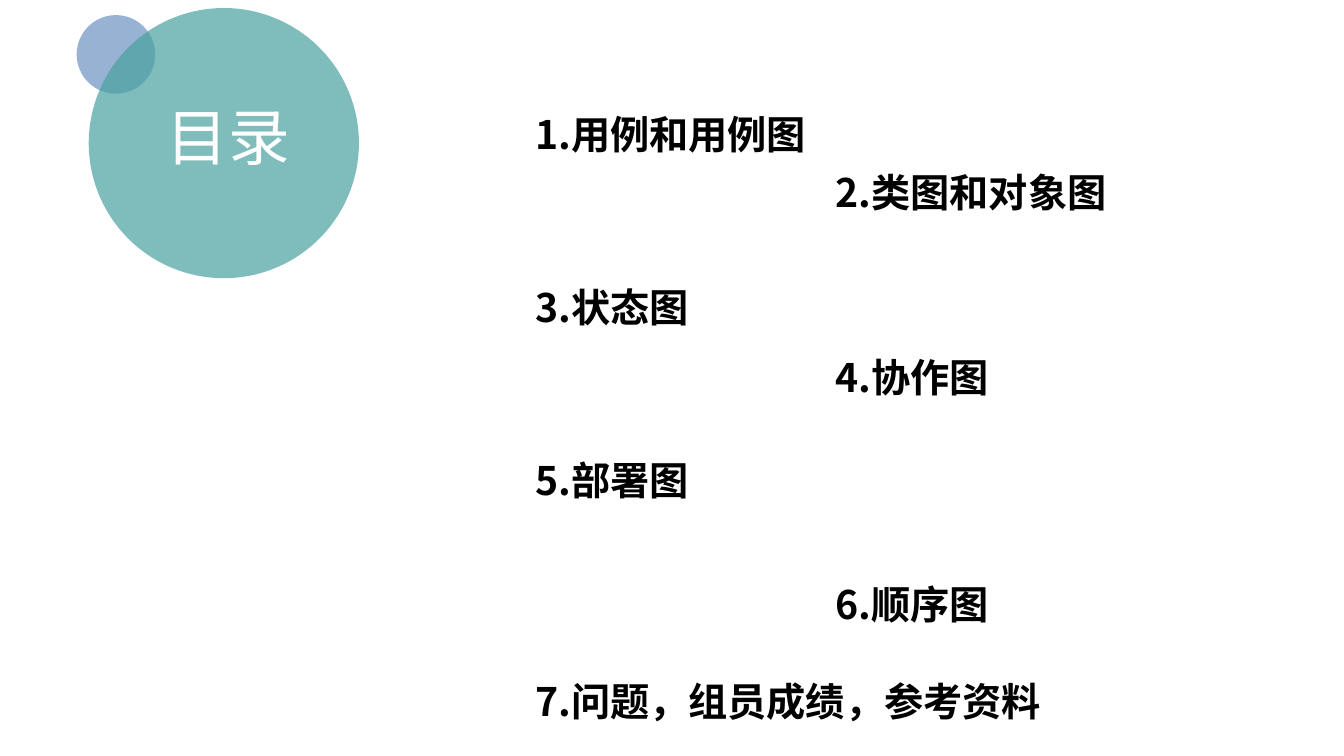
from lxml import etree
from pptx import Presentation
from pptx.dml.color import RGBColor
from pptx.enum.shapes import MSO_SHAPE
from pptx.enum.text import MSO_AUTO_SIZE, PP_ALIGN
from pptx.oxml.ns import qn
from pptx.util import Inches, Pt

OVAL = MSO_SHAPE.OVAL
GROW = MSO_AUTO_SIZE.SHAPE_TO_FIT_TEXT
LEFT, CENTER = PP_ALIGN.LEFT, PP_ALIGN.CENTER

WIDTH, HEIGHT = 13.33, 7.5
FONT = "Noto Sans CJK SC"
COLORS = {"blue": "6C92C0", "teal": "48A2A0", "title": "FFFFFF", "entry": "000000"}
ENTRY_COLUMNS = (5.21, 8.19)
ENTRY_WIDTH, LAST_ENTRY_WIDTH, ENTRY_HEIGHT = 4.37, 5.9, 0.57
ENTRIES = (
    ("用例和用例图", 1.05),
    ("类图和对象图", 1.62),
    ("状态图", 2.76),
    ("协作图", 3.46),
    ("部署图", 4.48),
    ("顺序图", 5.71),
    ("问题，组员成绩，参考资料", 6.67),
)


def add_circle(slide, left, top, diameter, color, opacity=70):
    """Add a translucent circle without an outline."""
    circle = slide.shapes.add_shape(
        OVAL, Inches(left), Inches(top), Inches(diameter), Inches(diameter)
    )
    circle.shadow.inherit = False
    circle.line.fill.background()
    circle.fill.solid()
    circle.fill.fore_color.rgb = RGBColor.from_string(COLORS[color])
    color_element = circle.fill._xPr.find(".//" + qn("a:srgbClr"))
    etree.SubElement(color_element, qn("a:alpha"), val=str(opacity * 1000))


def add_text(slide, text, box, size, color, bold=False, alignment=LEFT):
    """Add one line of text in a wrapping text box."""
    text_box = slide.shapes.add_textbox(*(Inches(length) for length in box))
    frame = text_box.text_frame
    frame.word_wrap = True
    frame.auto_size = GROW
    paragraph = frame.paragraphs[0]
    paragraph.text = text
    paragraph.alignment = alignment
    font = paragraph.font
    font.size = Pt(size)
    font.bold = bold
    font.color.rgb = RGBColor.from_string(COLORS[color])
    font.name = FONT
    etree.SubElement(font._element, qn("a:ea"), typeface=FONT)


def add_contents(slide):
    """Add the numbered entries, alternating between the two columns."""
    for number, (label, top) in enumerate(ENTRIES, start=1):
        left = ENTRY_COLUMNS[(number - 1) % 2]
        width = LAST_ENTRY_WIDTH if number == len(ENTRIES) else ENTRY_WIDTH
        box = (left, top, width, ENTRY_HEIGHT)
        add_text(slide, f"{number}.{label}", box, 28, "entry", bold=True)


def main():
    """Build the contents slide and save it."""
    presentation = Presentation()
    presentation.slide_width = Inches(WIDTH)
    presentation.slide_height = Inches(HEIGHT)
    slide = presentation.slides.add_slide(presentation.slide_layouts[6])
    add_circle(slide, 0.76, 0.15, 0.78, "blue")
    add_circle(slide, 0.88, 0.08, 2.68, "teal")
    add_text(slide, "目录", (0.1, 0.93, 4.33, 0.93), 44, "title", alignment=CENTER)
    add_contents(slide)
    presentation.save("out.pptx")


if __name__ == "__main__":
    main()
